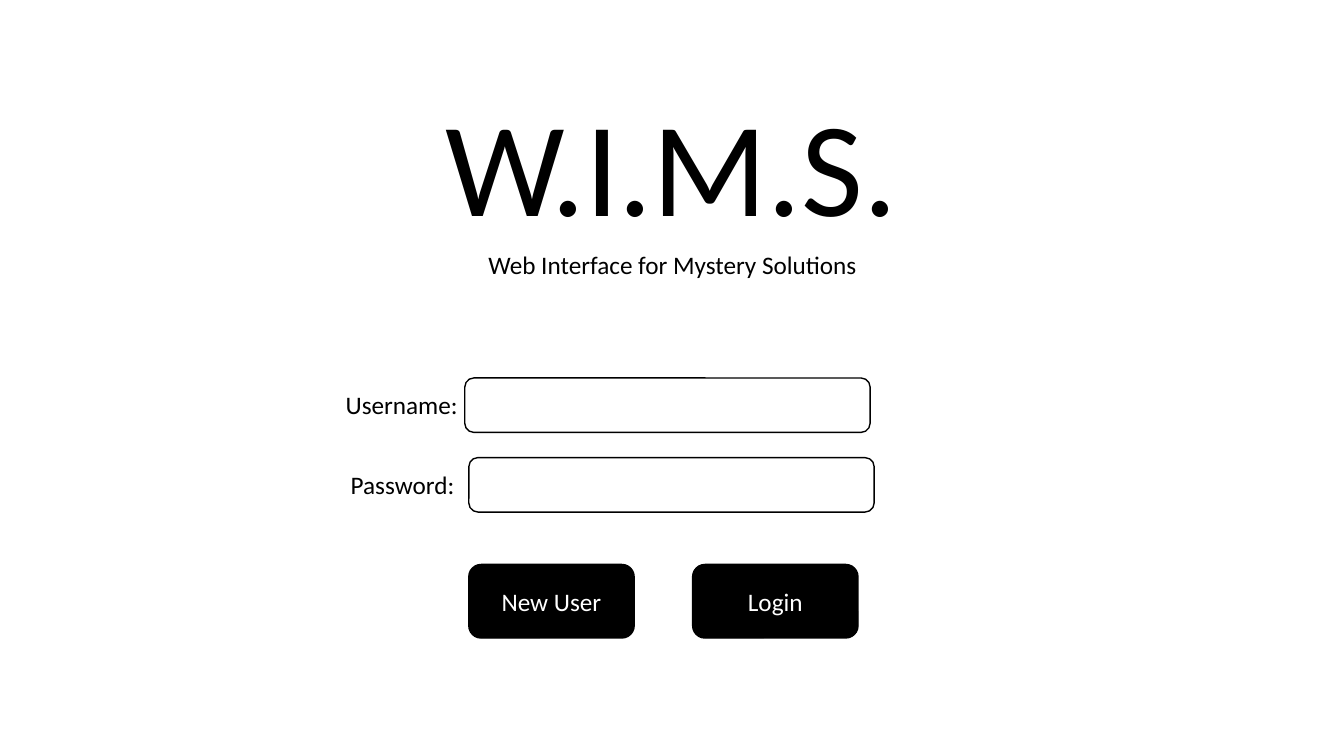
from dataclasses import dataclass

from pptx import Presentation
from pptx.dml.color import RGBColor
from pptx.enum.shapes import MSO_SHAPE
from pptx.enum.text import MSO_ANCHOR, MSO_AUTO_SIZE, PP_ALIGN
from pptx.shapes.autoshape import Shape
from pptx.slide import Slide
from pptx.util import Pt

EMU_PER_PX = 9144
COLORS = {"ink": "000000", "paper": "FFFFFF"}
FONT = "Calibri"


@dataclass(frozen=True)
class Box:
    left: int
    top: int
    width: int
    height: int

    def emu(self) -> tuple[int, ...]:
        return tuple(
            value * EMU_PER_PX
            for value in (self.left, self.top, self.width, self.height)
        )


@dataclass(frozen=True)
class Field:
    label: str
    label_box: Box
    input_box: Box


@dataclass(frozen=True)
class Button:
    caption: str
    box: Box


FIELDS = (
    Field("Username:", Box(333, 381, 133, 40), Box(461, 375, 402, 54)),
    Field("Password:", Box(338, 461, 124, 40), Box(465, 454, 402, 54)),
)
BUTTONS = (
    Button("New User", Box(465, 560, 164, 73)),
    Button("Login", Box(687, 560, 164, 73)),
)


def color(name: str) -> RGBColor:
    return RGBColor.from_string(COLORS[name])


def apply_format(target: object, values: dict[str, object]) -> None:
    for name, value in values.items():
        setattr(target, name, value)


def place(shape: Shape, box: Box) -> None:
    apply_format(shape, dict(zip(("left", "top", "width", "height"), box.emu())))


def write_text(
    shape: Shape,
    text: str,
    size: int = 18,
    ink: str = "ink",
    align: PP_ALIGN = PP_ALIGN.CENTER,
    anchor: MSO_ANCHOR = MSO_ANCHOR.TOP,
    wrap: bool = True,
    fit: MSO_AUTO_SIZE = MSO_AUTO_SIZE.SHAPE_TO_FIT_TEXT,
) -> None:
    frame = shape.text_frame
    apply_format(
        frame, {"word_wrap": wrap, "auto_size": fit, "vertical_anchor": anchor}
    )
    para = frame.paragraphs[0]
    apply_format(para, {"alignment": align, "space_before": Pt(0)})
    span = para.add_run()
    span.text = text
    apply_format(span.font, {"name": FONT, "size": Pt(size)})
    span.font.color.rgb = color(ink)


def draw_rounded(page: Slide, box: Box, fill: str) -> Shape:
    shape = page.shapes.add_shape(MSO_SHAPE.ROUNDED_RECTANGLE, *box.emu())
    shape.shadow.inherit = False
    shape.fill.solid()
    shape.fill.fore_color.rgb = color(fill)
    shape.line.color.rgb = color("ink")
    shape.line.width = Pt(1)
    return shape


def draw_field(page: Slide, field: Field) -> None:
    draw_rounded(page, field.input_box, "paper")
    label = page.shapes.add_textbox(*field.label_box.emu())
    write_text(label, field.label, align=PP_ALIGN.LEFT, wrap=False)


def draw_button(page: Slide, button: Button) -> None:
    shape = draw_rounded(page, button.box, "ink")
    write_text(
        shape,
        button.caption,
        ink="paper",
        anchor=MSO_ANCHOR.MIDDLE,
        fit=MSO_AUTO_SIZE.NONE,
    )


def main() -> None:
    deck = Presentation()
    deck.slide_width = 1333 * EMU_PER_PX
    deck.slide_height = 750 * EMU_PER_PX
    page = deck.slides.add_slide(deck.slide_layouts[0])

    title, subtitle = page.placeholders
    place(title, Box(306, 76, 720, 172))
    write_text(title, "W.I.M.S.", size=96)
    place(subtitle, Box(307, 242, 720, 40))
    write_text(subtitle, "Web Interface for Mystery Solutions")

    for field in FIELDS:
        draw_field(page, field)
    for button in BUTTONS:
        draw_button(page, button)

    deck.save("out.pptx")


if __name__ == "__main__":
    main()
